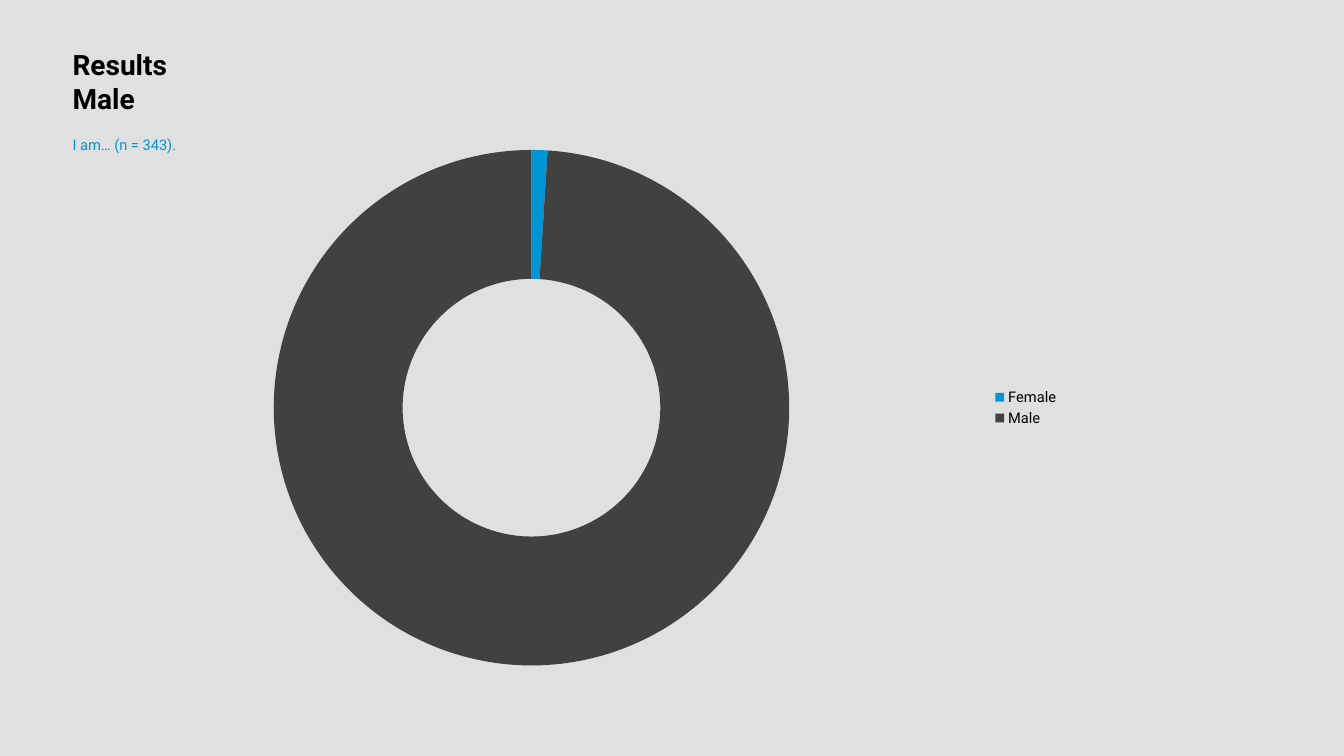
from dataclasses import dataclass

from pptx import Presentation
from pptx.chart.data import CategoryChartData
from pptx.dml.color import RGBColor
from pptx.enum.chart import XL_CHART_TYPE as ChartType, XL_LEGEND_POSITION as LegendPos
from pptx.enum.text import MSO_ANCHOR as Anchor, MSO_AUTO_SIZE as AutoSize, PP_ALIGN as Align
from pptx.oxml.ns import qn
from pptx.util import Pt


@dataclass(frozen=True)
class Theme:
    font: str = "Roboto"
    background: RGBColor = RGBColor(0xE0, 0xE0, 0xE0)
    text: RGBColor = RGBColor(0, 0, 0)
    accent: RGBColor = RGBColor(0x00, 0x95, 0xD5)
    dark: RGBColor = RGBColor(0x41, 0x41, 0x41)
    title_size: float = 20
    body_size: float = 10.5
    chart_size: float = 18


THEME = Theme()
LEFT = 51.84


def style_font(font, size, color, bold=False):
    font.name = THEME.font
    font.size = Pt(size)
    font.bold = bold
    font.color.rgb = color


def fill_placeholder(sp, box, lines, size, color, bold=False, line_spacing=1.0, space_after=0):
    """Place a placeholder and set its lines as plain left-aligned paragraphs."""
    sp.left, sp.top, sp.width, sp.height = map(Pt, box)
    tf = sp.text_frame
    tf.text = "\n".join(lines)
    tf.word_wrap = True
    tf.auto_size = AutoSize.NONE
    tf.vertical_anchor = Anchor.TOP
    tf.margin_left = tf.margin_top = tf.margin_right = tf.margin_bottom = 0
    for p in tf.paragraphs:
        p.alignment = Align.LEFT
        p.line_spacing = line_spacing
        p.space_before = Pt(0)
        p.space_after = Pt(space_after)
        style_font(p.font, size, color, bold)
        remove_bullet(p)


def remove_bullet(p):
    props = p._p.get_or_add_pPr()
    props.set("marL", "0")
    props.set("indent", "0")
    props.insert_element_before(props.makeelement(qn("a:buNone"), {}),
                                "a:tabLst", "a:defRPr", "a:extLst")


def add_doughnut(slide, box, shares):
    """Draw a doughnut from (category, value, colour) rows, with a legend at right."""
    data = CategoryChartData()
    data.categories = [name for name, _, _ in shares]
    data.add_series("Series 1", [value for _, value, _ in shares])
    chart = slide.shapes.add_chart(ChartType.DOUGHNUT, *map(Pt, box), data).chart
    style_font(chart.font, THEME.chart_size, THEME.text)
    chart.has_title = False
    chart.has_legend = True
    chart.legend.position = LegendPos.RIGHT
    chart.legend.include_in_layout = False
    style_font(chart.legend.font, THEME.body_size, THEME.text)
    plot = chart.plots[0]
    plot.vary_by_categories = True
    for i, (_, _, color) in enumerate(shares):
        point = plot.series[0].points[i].format
        point.fill.solid()
        point.fill.fore_color.rgb = color
        point.line.fill.background()


def main():
    prs = Presentation()
    prs.slide_width, prs.slide_height = Pt(960), Pt(540)
    slide = prs.slides.add_slide(prs.slide_layouts[1])
    slide.background.fill.solid()
    slide.background.fill.fore_color.rgb = THEME.background

    title, body = slide.placeholders
    fill_placeholder(title, (LEFT, 33.84, 708.48, 60.48), ["Results", "Male"],
                     THEME.title_size, THEME.text, bold=True)
    fill_placeholder(body, (LEFT, 94.32, 708.48, 390.96), ["I am… (n = 343)."],
                     THEME.body_size, THEME.accent, line_spacing=1.2, space_after=18)
    add_doughnut(slide, (LEFT, 97.2, 712.08, 388.08),
                 [("Female", 1, THEME.accent), ("Male", 99, THEME.dark)])
    prs.save("out.pptx")


if __name__ == "__main__":
    main()
